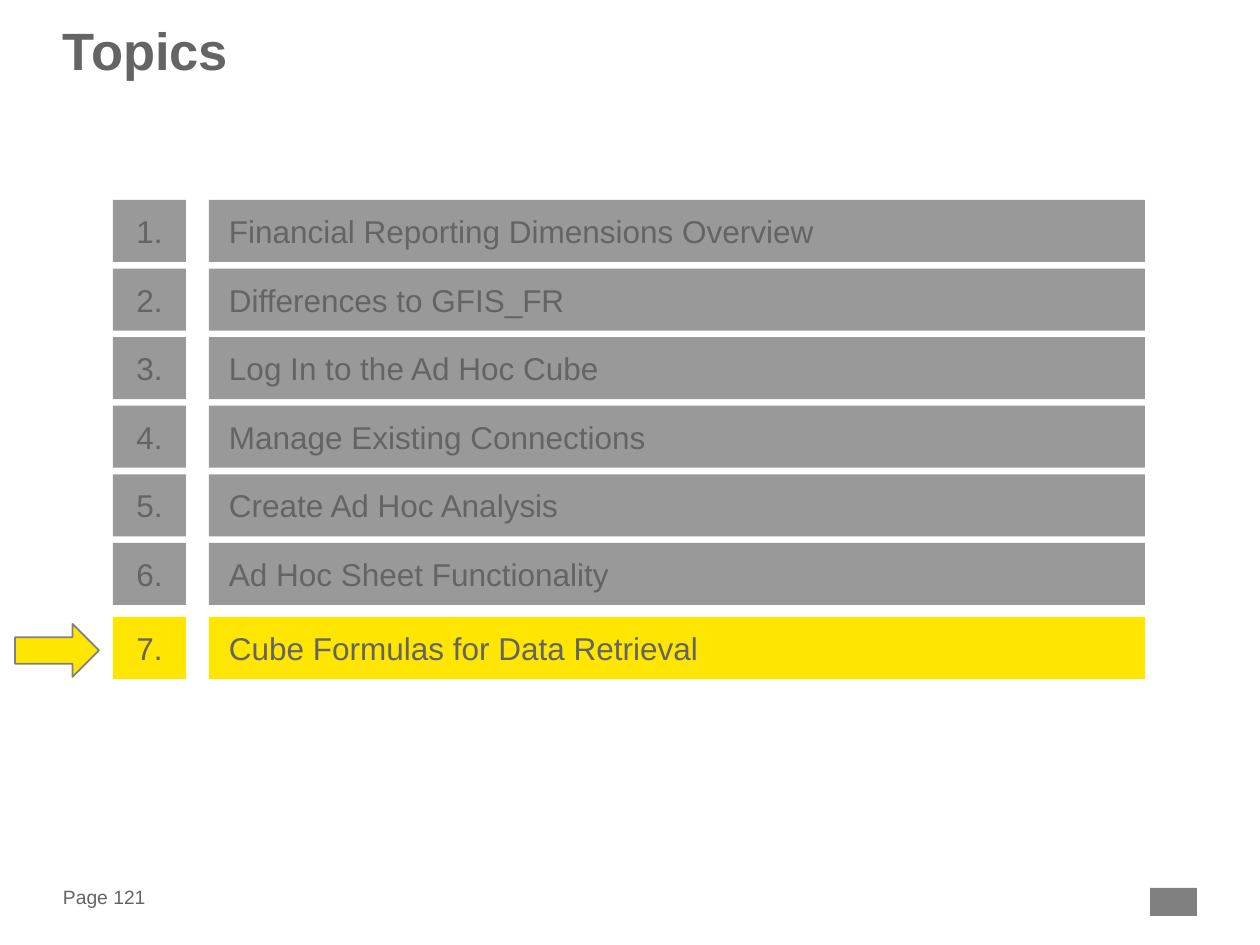
import pptx
import pptx.util
import pptx.dml.color
import pptx.enum.shapes
import pptx.enum.text

PX = 914400 / 126
SHAPE = pptx.enum.shapes.MSO_SHAPE
ALIGN = pptx.enum.text.PP_ALIGN
ANCHOR = pptx.enum.text.MSO_ANCHOR
COLORS = {"text": "646464", "bar": "999999", "accent": "FFE600", "mark": "808080"}
TOPICS = [
    "Financial Reporting Dimensions Overview",
    "Differences to GFIS_FR",
    "Log In to the Ad Hoc Cube",
    "Manage Existing Connections",
    "Create Ad Hoc Analysis",
    "Ad Hoc Sheet Functionality",
]
CURRENT = "Cube Formulas for Data Retrieval"


def emu(px):
    return pptx.util.Emu(round(px * PX))


def color(name):
    return pptx.dml.color.RGBColor.from_string(COLORS[name])


def write(shape, text, size=18, bold=False, align=ALIGN.LEFT,
          anchor=ANCHOR.MIDDLE, inset=(0, 0), spacing=None):
    """Fill a shape with one paragraph; inset is (sides, top and bottom) in px."""
    frame = shape.text_frame
    frame.word_wrap = True
    frame.vertical_anchor = anchor
    frame.margin_left = frame.margin_right = emu(inset[0])
    frame.margin_top = frame.margin_bottom = emu(inset[1])
    para = frame.paragraphs[0]
    para.alignment = align
    if spacing:
        para.line_spacing = spacing
    run = para.add_run()
    run.text = text
    run.font.name = "Arial"
    run.font.size = pptx.util.Pt(size)
    run.font.bold = bold
    run.font.color.rgb = color("text")


def label(slide, box, text, **style):
    write(slide.shapes.add_textbox(*map(emu, box)), text, **style)


def block(slide, box, fill, kind=SHAPE.RECTANGLE, line=None):
    shape = slide.shapes.add_shape(kind, *map(emu, box))
    shape.shadow.inherit = False
    shape.fill.solid()
    shape.fill.fore_color.rgb = color(fill)
    if line:
        shape.line.color.rgb = color(line)
        shape.line.width = pptx.util.Pt(1)
    else:
        shape.line.fill.background()
    return shape


def topic(slide, box, number, text, fill="bar"):
    """Place a number cell and a topic bar side by side."""
    left, top, width, height = box
    cell, gap = 73, 23
    write(block(slide, (left, top, cell, height), fill), f"{number}.",
          align=ALIGN.CENTER, inset=(11, 5))
    start = cell + gap
    write(block(slide, (left + start, top, width - start, height), fill), text,
          inset=(20, 5))


def agenda(slide, box):
    """Stack the topics evenly, with the current one set apart at the bottom."""
    left, top, width, height = box
    row, pitch, apart = 62, 68.6, 7
    for i, text in enumerate(TOPICS):
        topic(slide, (left, top + i * pitch, width, row), i + 1, text)
    last = top + height - row
    topic(slide, (left, last, width, row), len(TOPICS) + 1, CURRENT, fill="accent")
    block(slide, (left - 98, last + apart, 84, 53), "accent",
          kind=SHAPE.RIGHT_ARROW, line="mark")


def footer(slide, box):
    left, top, width, height = box
    label(slide, (left, top, 100, height), "Page 121", size=11)
    block(slide, (left + width - 47, top + 5, 47, height), "mark")


def main():
    deck = pptx.Presentation()
    deck.slide_width, deck.slide_height = emu(1260), emu(945)
    slide = deck.slides.add_slide(deck.slide_layouts[6])
    label(slide, (63, 28, 1134, 118), "Topics", size=30, bold=True,
          anchor=ANCHOR.TOP, spacing=0.85)
    agenda(slide, (113, 200, 1032, 479))
    footer(slide, (63, 883, 1134, 28))
    deck.save("out.pptx")


if __name__ == "__main__":
    main()
